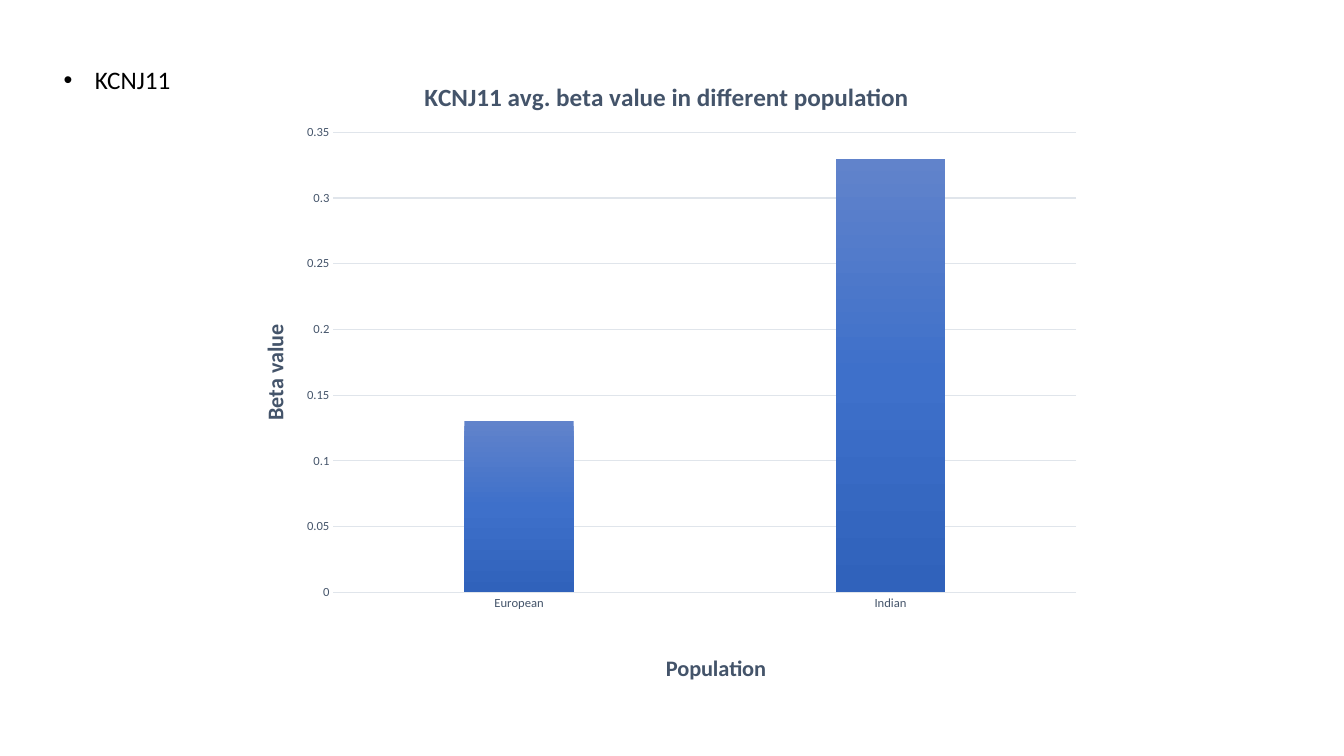
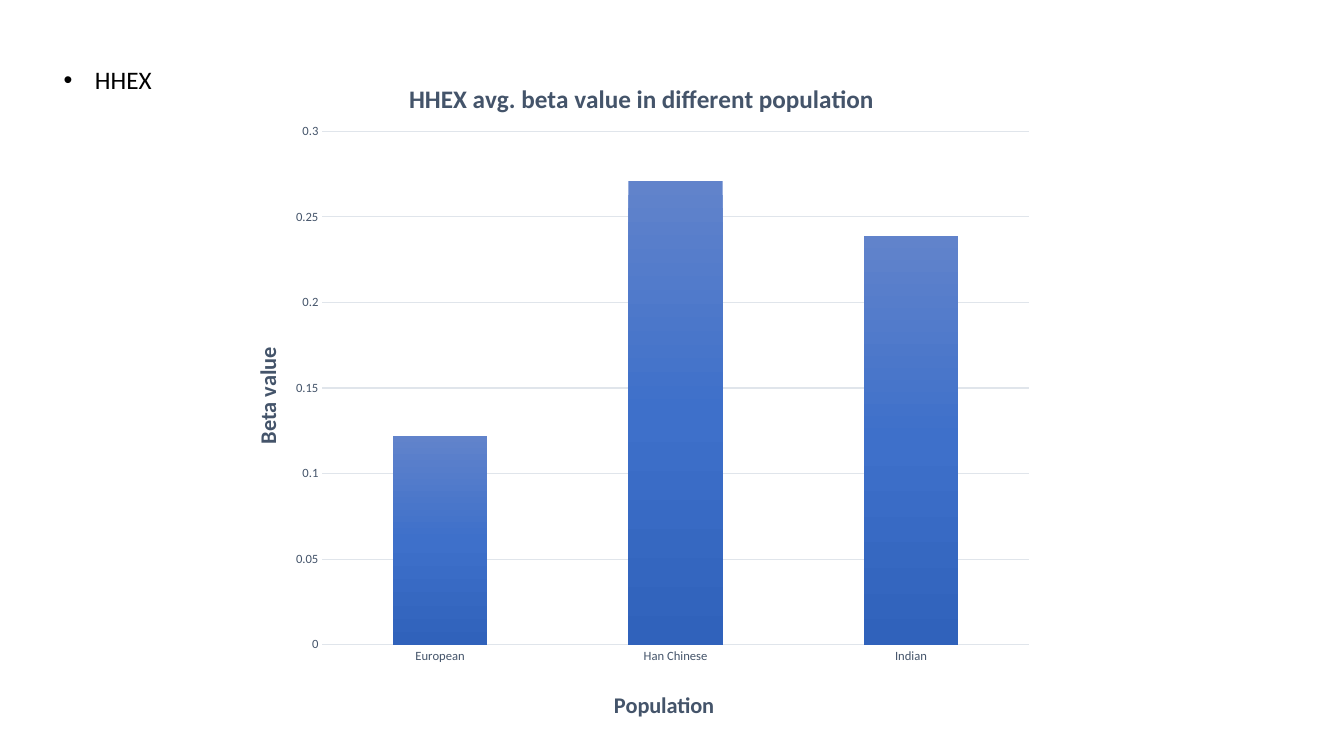
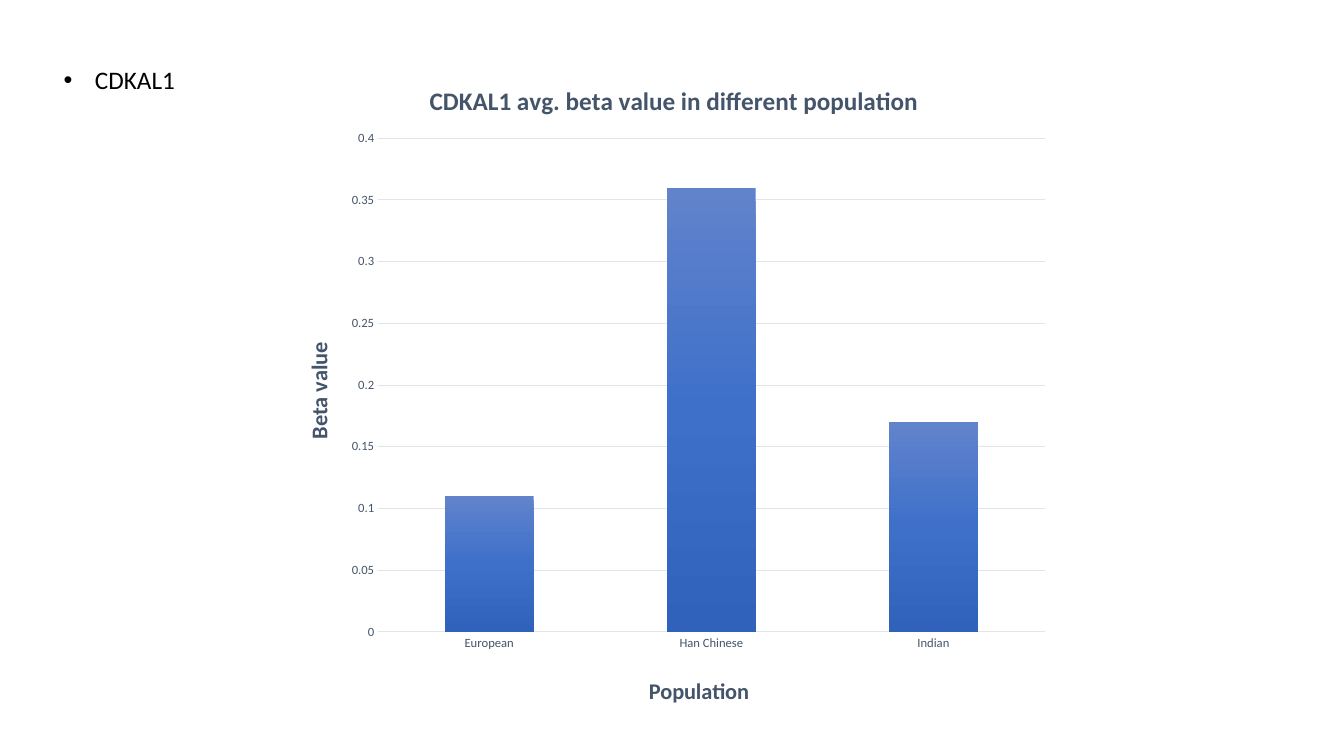
from dataclasses import dataclass

from lxml import etree
from pptx import Presentation
from pptx import util as u
from pptx.chart import data as chart_data
from pptx.dml import color
from pptx.enum import chart as charts
from pptx.enum import text
from pptx.oxml import ns

FONT = "Calibri"
COLOURS = {
    "ink": "000000",
    "slate": "44546A",
    "grid": "E0E5EB",
    "bar_top": "6183CB",
    "bar_middle": "3E70CA",
    "bar_bottom": "3062BB",
}
BAR_STOPS = {0: "bar_top", 50: "bar_middle", 100: "bar_bottom"}
VALUE_TITLE_SPOT = (0.03, 0.43)


@dataclass(frozen=True)
class GenePage:
    """One gene: its values, chart frame in cm and chart parts as fractions."""

    gene: str
    values: dict[str, float]
    frame: tuple[float, float, float, float]
    plot: tuple[float, float, float, float]
    title_spot: tuple[float, float]
    population_spot: tuple[float, float]
    maximum: float
    gap: int


PAGES = [
    GenePage("KCNJ11", {"European": 0.13, "Indian": 0.33},
             (5.79, 1.27, 21.77, 16.1), (0.12, 0.13, 0.86, 0.73),
             (0.22, 0.04), (0.5, 0.95), 0.35, 240),
    GenePage("HHEX", {"European": 0.122, "Han Chinese": 0.271, "Indian": 0.239},
             (5.64, 1.24, 20.7, 17.25), (0.12, 0.12, 0.86, 0.75),
             (0.22, 0.04), (0.47, 0.93), 0.3, 150),
    GenePage("CDKAL1", {"European": 0.11, "Han Chinese": 0.36, "Indian": 0.17},
             (6.96, 1.3, 19.76, 16.81), (0.13, 0.13, 0.85, 0.74),
             (0.19, 0.04), (0.47, 0.93), 0.4, 150),
]


def rgb(name: str) -> color.RGBColor:
    """Look up a named colour."""
    return color.RGBColor.from_string(COLOURS[name])


def style_font(font, *, size: float, ink: str, bold: bool = False) -> None:
    """Apply the shared typeface with a size, colour and weight."""
    font.name, font.size, font.bold = FONT, u.Pt(size), bold
    font.color.rgb = rgb(ink)


def write(frame, content: str, *, size: float, ink: str, bold: bool = False):
    """Put one formatted line in a text frame and return its paragraph."""
    para = frame.paragraphs[0]
    span = para.add_run()
    span.text = content
    style_font(span.font, size=size, ink=ink, bold=bold)
    return para


def place(part, *fractions: float, index: int) -> None:
    """Fix a chart part at x, y and optionally width, height."""
    for old in part.findall(ns.qn("c:layout")):
        part.remove(old)
    layout = etree.Element(ns.qn("c:layout"))
    manual = etree.SubElement(layout, ns.qn("c:manualLayout"))
    settings = [("xMode", "edge"), ("yMode", "edge"), *zip("xywh", fractions)]
    if len(fractions) == 4:
        settings.insert(0, ("layoutTarget", "inner"))
    for tag, value in settings:
        etree.SubElement(manual, ns.qn(f"c:{tag}")).set("val", str(value))
    part.insert(index, layout)


def add_title(title, content: str, spot: tuple[float, float], *,
              size: float, turn: int = 0) -> None:
    """Write and place a chart or axis title, turned by whole degrees."""
    write(title.text_frame, content, size=size, ink="slate", bold=True)
    body = title._element.find(".//" + ns.qn("a:bodyPr"))
    body.set("rot", str(turn * 60000))
    place(title._element, *spot, index=1)


def fill_bars(series) -> None:
    """Give the bars a vertical three-stop gradient."""
    properties = series.format.fill._xPr
    gradient = etree.SubElement(properties, ns.qn("a:gradFill"))
    stops = etree.SubElement(gradient, ns.qn("a:gsLst"))
    for percent, name in BAR_STOPS.items():
        stop = etree.SubElement(stops, ns.qn("a:gs"), pos=str(percent * 1000))
        etree.SubElement(stop, ns.qn("a:srgbClr"), val=COLOURS[name])
    etree.SubElement(gradient, ns.qn("a:lin"), ang="5400000", scaled="0")


def style_line(line) -> None:
    """Draw a thin grid-coloured line."""
    line.color.rgb = rgb("grid")
    line.width = u.Pt(0.75)


def add_gene_label(page, gene: str) -> None:
    """Write the gene as a bullet in the body placeholder."""
    box = page.placeholders[1]
    box.left, box.top = u.Cm(1.35), u.Cm(1.5)
    box.width, box.height = u.Cm(7.44), u.Cm(1.02)
    frame = box.text_frame
    frame.word_wrap = True
    frame.auto_size = text.MSO_AUTO_SIZE.SHAPE_TO_FIT_TEXT
    para = write(frame, gene, size=18, ink="ink")
    para.space_before = u.Pt(0)
    indent = u.Cm(0.79)
    properties = para._p.get_or_add_pPr()
    properties.set("marL", str(indent))
    properties.set("indent", str(-indent))
    etree.SubElement(properties, ns.qn("a:buFont"), typeface="Arial")
    etree.SubElement(properties, ns.qn("a:buChar"), char="•")


def add_beta_chart(page, item: GenePage) -> None:
    """Draw the average beta values as columns."""
    data = chart_data.CategoryChartData()
    data.categories = item.values.keys()
    data.add_series("Series 1", item.values.values())
    chart = page.shapes.add_chart(charts.XL_CHART_TYPE.COLUMN_CLUSTERED,
                                  *map(u.Cm, item.frame), data).chart
    style_font(chart.font, size=10, ink="ink")
    chart.has_legend = False
    add_title(chart.chart_title,
              f"{item.gene} avg. beta value in different population",
              item.title_spot, size=18)

    bars = chart.plots[0]
    bars.gap_width, bars.overlap = item.gap, -24
    bars.vary_by_categories = False
    bars.series[0].invert_if_negative = False
    fill_bars(bars.series[0])

    population, beta = chart.category_axis, chart.value_axis
    for axis in (population, beta):
        style_font(axis.tick_labels.font, size=9, ink="slate")
        axis.major_tick_mark = axis.minor_tick_mark = charts.XL_TICK_MARK.NONE
    style_line(population.format.line)
    style_line(beta.major_gridlines.format.line)
    beta.format.line.fill.background()
    beta.minimum_scale, beta.maximum_scale = 0, item.maximum
    beta.major_unit = 0.05
    add_title(population.axis_title, "Population", item.population_spot, size=16)
    add_title(beta.axis_title, "Beta value", VALUE_TITLE_SPOT, size=16, turn=-90)
    plot_area = chart._chartSpace.find(".//" + ns.qn("c:plotArea"))
    place(plot_area, *item.plot, index=0)


def build() -> None:
    """Build and save the deck."""
    deck = Presentation()
    deck.slide_width, deck.slide_height = u.Cm(33.87), u.Cm(19.05)
    for item in PAGES:
        page = deck.slides.add_slide(deck.slide_layouts[1])
        heading = page.shapes.title._element
        heading.getparent().remove(heading)
        add_gene_label(page, item.gene)
        add_beta_chart(page, item)
    deck.save("out.pptx")


build()
